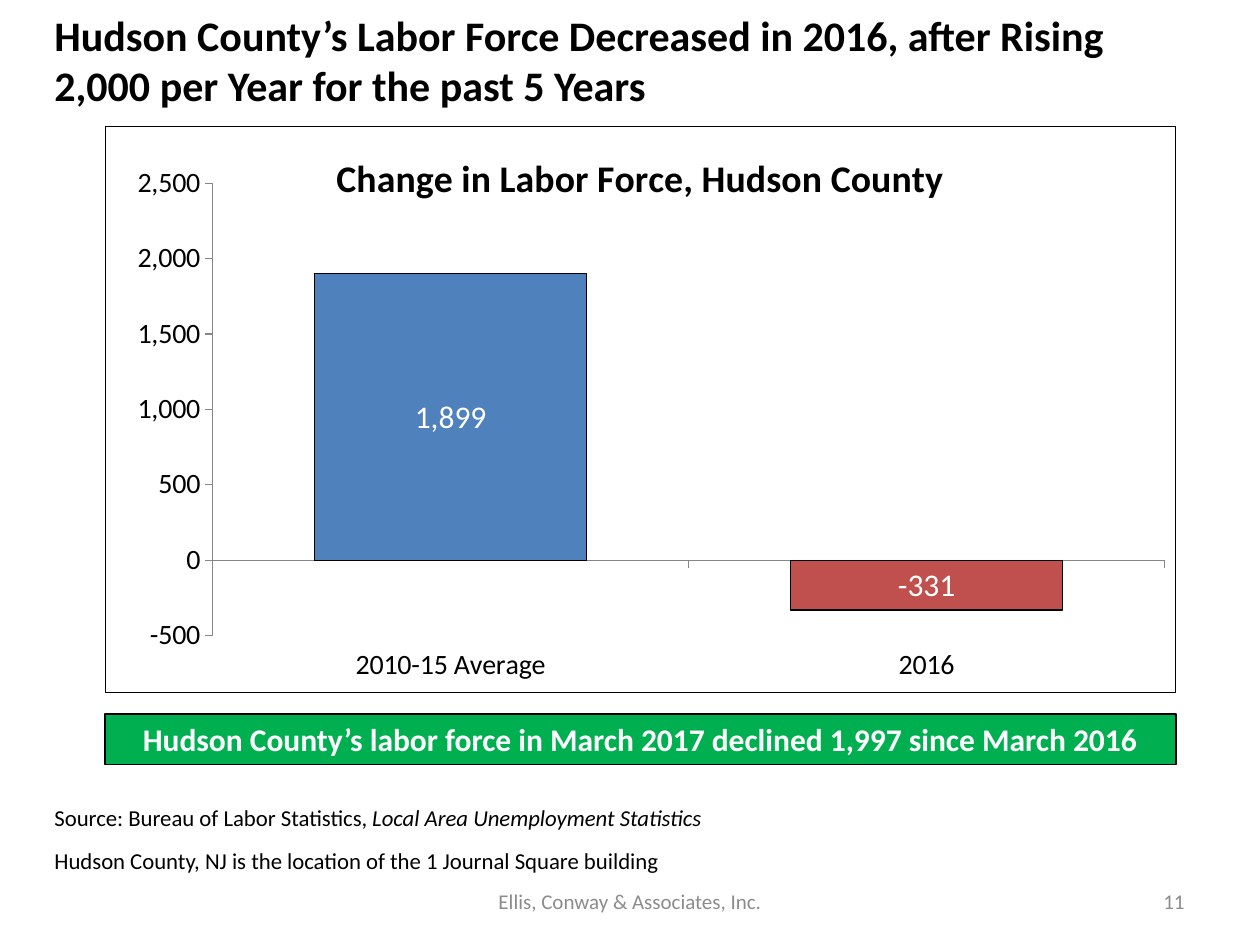
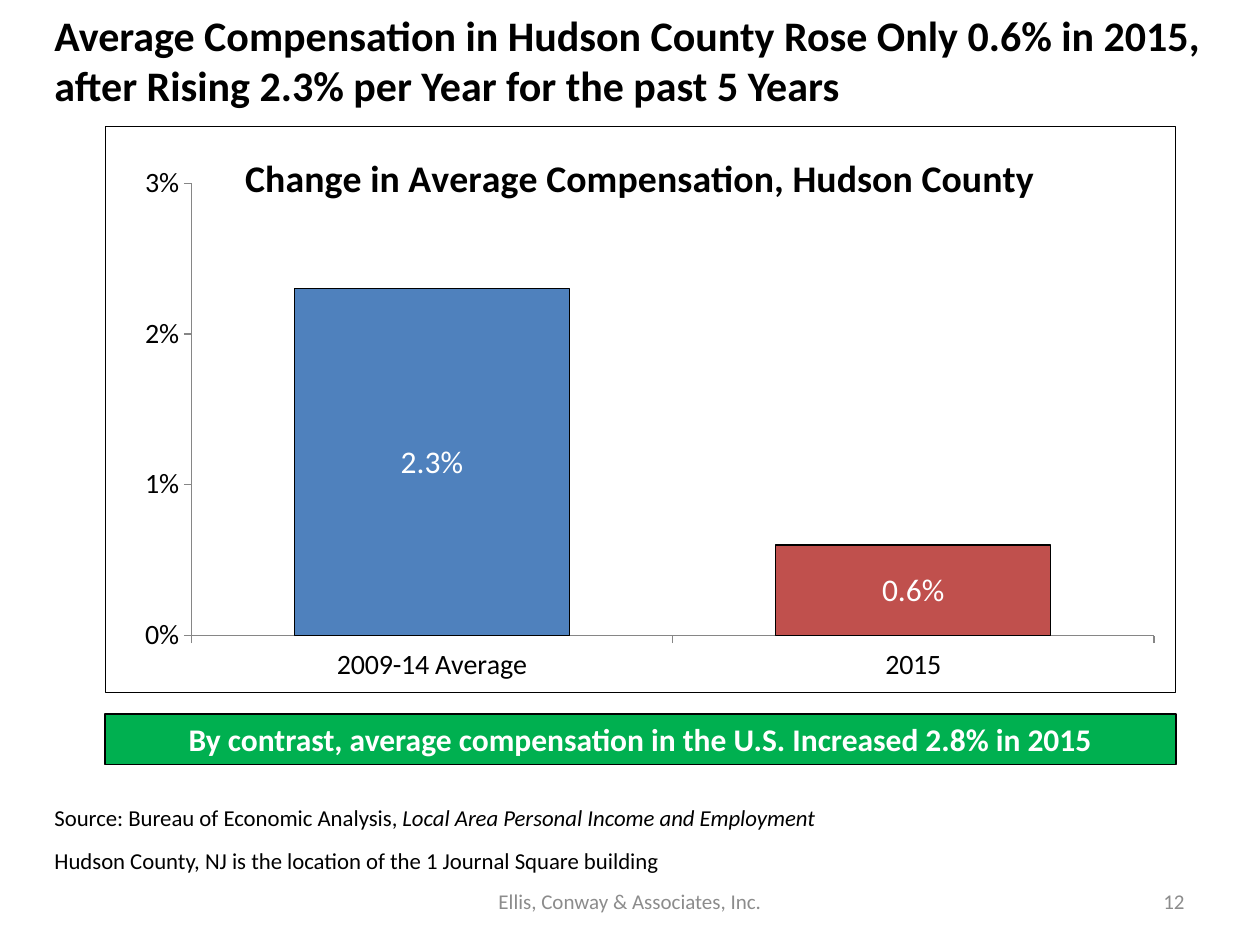
from pptx import Presentation
from pptx.chart.data import CategoryChartData
from pptx.dml.color import RGBColor
from pptx.enum.chart import XL_CHART_TYPE, XL_LABEL_POSITION, XL_TICK_LABEL_POSITION, XL_TICK_MARK
from pptx.enum.shapes import MSO_SHAPE
from pptx.enum.text import MSO_ANCHOR, PP_ALIGN
from pptx.oxml import parse_xml
from pptx.oxml.ns import nsdecls, qn
from pptx.util import Inches, Pt

FONT = "Calibri"
BLACK, WHITE, GRAY, AXIS = "000000", "FFFFFF", "8C8C8C", "868686"
BLUE, RED, GREEN = "4F81BD", "C0504D", "00B050"
COLS, ROWS = 60, 45  # grid cells of a sixth of an inch
FIRM = "Ellis, Conway & Associates, Inc."
PLACE = "Hudson County, NJ is the location of the 1 Journal Square building"


def color(code):
    return RGBColor.from_string(code)


def edge(line, code=BLACK):
    line.color.rgb = color(code)
    line.width = Pt(0.75)


def style(font, size, code=BLACK, bold=False, italic=False):
    font.name = FONT
    font.size = Pt(size)
    font.bold = bold
    font.italic = italic
    font.color.rgb = color(code)


class Deck:
    def __init__(self):
        self.prs = Presentation()
        self.prs.slide_width = Inches(10)
        self.prs.slide_height = Inches(7.5)
        self.slide = None

    def page(self):
        self.slide = self.prs.slides.add_slide(self.prs.slide_layouts[6])

    def box(self, col, row, wide, high):
        x, y = self.prs.slide_width / COLS, self.prs.slide_height / ROWS
        return [round(n) for n in (col * x, row * y, wide * x, high * y)]

    def letter(self, frame, paras, size, code=BLACK, bold=False,
               align=PP_ALIGN.LEFT, anchor=MSO_ANCHOR.TOP, gap=0):
        """Each paragraph is a list of (text, italic) runs."""
        frame.word_wrap = True
        frame.vertical_anchor = anchor
        for i, runs in enumerate(paras):
            para = frame.add_paragraph() if i else frame.paragraphs[0]
            para.alignment = align
            para.space_before = Pt(gap if i else 0)
            for text, italic in runs:
                run = para.add_run()
                run.text = text
                style(run.font, size, code, bold, italic)

    def text(self, spot, paras, size, **look):
        shape = self.slide.shapes.add_textbox(*self.box(*spot))
        self.letter(shape.text_frame, paras, size, **look)

    def title(self, text, wide):
        self.text((2, 0.72, wide, 4.26), [[(text, False)]], 24,
                  bold=True, anchor=MSO_ANCHOR.MIDDLE)

    def foot(self, number):
        for col, wide, text, align in ((17.5, 25, FIRM, PP_ALIGN.CENTER),
                                       (43, 14, str(number), PP_ALIGN.RIGHT)):
            self.text((col, 41.7, wide, 2.4), [[(text, False)]], 12,
                      code=GRAY, align=align, anchor=MSO_ANCHOR.MIDDLE)

    def source(self, agency, report):
        lead = f"Source: {agency}, "
        self.text((2, 38, 44, 3.96), [[(lead, False), (report, True)], [(PLACE, False)]],
                  13, gap=8.5)

    def band(self, text):
        shape = self.slide.shapes.add_shape(MSO_SHAPE.RECTANGLE, *self.box(5, 34, 51, 2.4))
        shape.shadow.inherit = False
        shape.fill.solid()
        shape.fill.fore_color.rgb = color(GREEN)
        edge(shape.line)
        self.letter(shape.text_frame, [[(text, False)]], 18, WHITE, True, PP_ALIGN.CENTER)

    def chart(self, name, cats, vals, scale, tick, label, plot):
        data = CategoryChartData()
        data.categories = cats
        data.add_series("Series 1", vals)
        chart = self.slide.shapes.add_chart(
            XL_CHART_TYPE.COLUMN_CLUSTERED, *self.box(5, 6, 51, 27), data).chart
        style(chart.font, 18)
        chart.has_legend = False
        chart.has_title = True
        head = chart.chart_title
        head.include_in_layout = False
        run = head.text_frame.paragraphs[0].add_run()
        run.text = name
        style(run.font, 21.6, bold=True)

        # Axes
        for axis in (chart.category_axis, chart.value_axis):
            axis.has_major_gridlines = False
            axis.major_tick_mark = XL_TICK_MARK.OUTSIDE
            axis.minor_tick_mark = XL_TICK_MARK.NONE
            style(axis.tick_labels.font, 16)
            edge(axis.format.line, AXIS)
        chart.category_axis.tick_label_position = XL_TICK_LABEL_POSITION.LOW
        axis.minimum_scale, axis.maximum_scale, axis.major_unit = scale
        axis.tick_labels.number_format = tick
        axis.tick_labels.number_format_is_linked = False

        # Columns and their labels
        group = chart.plots[0]
        group.gap_width = 75
        group.vary_by_categories = False
        series = group.series[0]
        series.invert_if_negative = False
        for part, code in ((series, RED), (series.points[0], BLUE)):
            part.format.fill.solid()
            part.format.fill.fore_color.rgb = color(code)
            edge(part.format.line)
        tags = series.data_labels
        tags.show_value = True
        tags.position = XL_LABEL_POSITION.CENTER
        tags.number_format = label
        tags.number_format_is_linked = False
        style(tags.font, 18, WHITE)
        self.frame(chart, plot)

    def frame(self, chart, plot):
        """Place the plot by shares of the chart, and draw the outer border."""
        root = chart.element.find(qn("c:chart"))
        area = root.find(qn("c:plotArea"))
        for old in area.findall(qn("c:layout")):
            area.remove(old)
        sides = "".join(f'<c:{key} val="{val}"/>' for key, val in zip("xywh", plot))
        area.insert(0, parse_xml(
            f'<c:layout {nsdecls("c")}><c:manualLayout><c:layoutTarget val="inner"/>'
            f'<c:xMode val="edge"/><c:yMode val="edge"/>{sides}'
            '</c:manualLayout></c:layout>'))
        root.addnext(parse_xml(
            f'<c:spPr {nsdecls("c", "a")}>'
            f'<a:solidFill><a:srgbClr val="{WHITE}"/></a:solidFill>'
            f'<a:ln w="{Pt(0.75)}"><a:solidFill><a:srgbClr val="{BLACK}"/></a:solidFill></a:ln>'
            '</c:spPr>'))


def main():
    deck = Deck()

    # Labor force
    deck.page()
    deck.foot(11)
    deck.title("Hudson County’s Labor Force Decreased in 2016, after Rising "
               "2,000 per Year for the past 5 Years", 55.5)
    deck.chart("Change in Labor Force, Hudson County", ("2010-15 Average", "2016"),
               (1899, -331), (-500, 2500, 500), "#,##0", "#,##0", (0.1, 0.1, 0.89, 0.8))
    deck.source("Bureau of Labor Statistics", "Local Area Unemployment Statistics")
    deck.band("Hudson County’s labor force in March 2017 declined 1,997 since March 2016")

    # Compensation
    deck.page()
    deck.foot(12)
    deck.title("Average Compensation in Hudson County Rose Only 0.6% in 2015, "
               "after Rising 2.3% per Year for the past 5 Years", 56)
    deck.chart("Change in Average Compensation, Hudson County", ("2009-14 Average", "2015"),
               (0.023, 0.006), (0, 0.03, 0.01), "0%", "0.0%", (0.08, 0.1, 0.9, 0.8))
    deck.source("Bureau of Economic Analysis", "Local Area Personal Income and Employment")
    deck.band("By contrast, average compensation in the U.S. Increased 2.8% in 2015")

    deck.prs.save("out.pptx")


if __name__ == "__main__":
    main()
